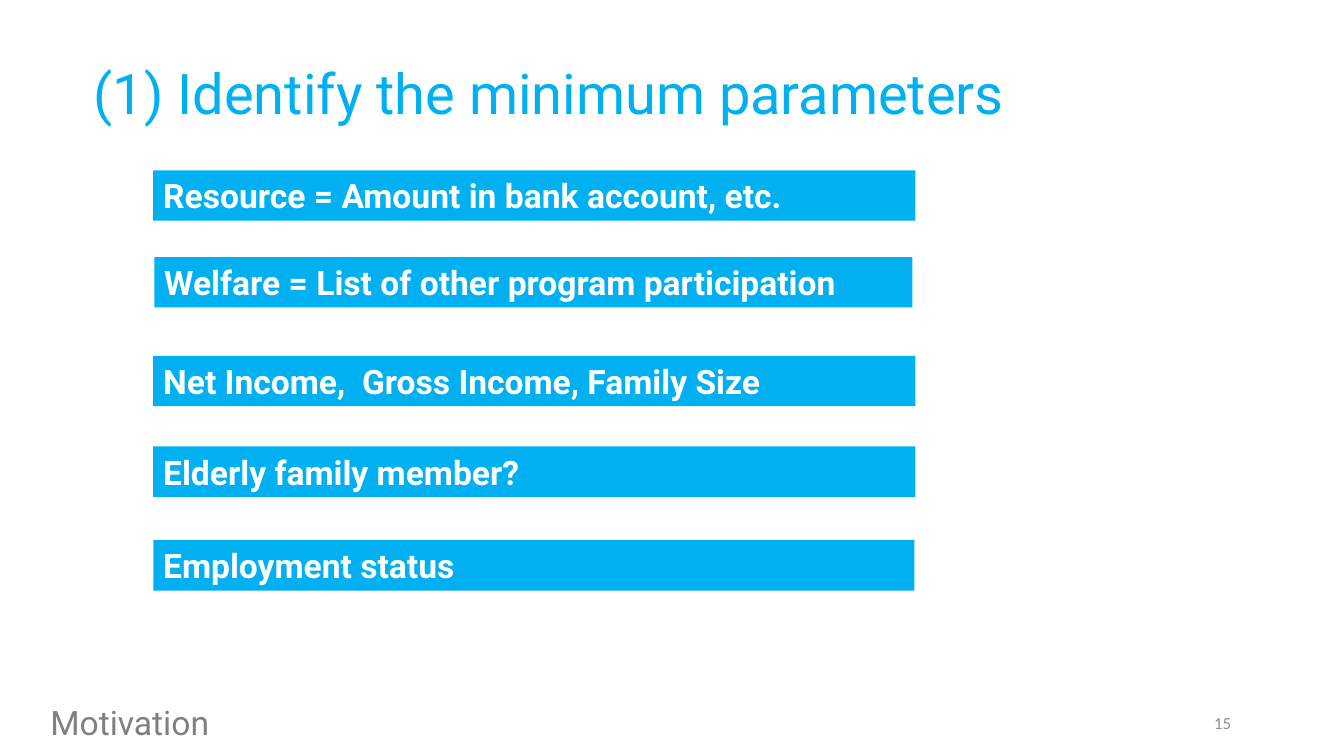
from pptx import Presentation
from pptx.dml.color import RGBColor
from pptx.enum.shapes import MSO_SHAPE as SHAPE
from pptx.enum.text import MSO_ANCHOR as ANCHOR, PP_ALIGN as ALIGN
from pptx.util import Inches, Pt

COLORS = {"blue": "00B0F0", "white": "FFFFFF", "gray": "808080", "pale": "8C8C8C"}

# Text, left, top, width
BARS = [
    ("Resource = Amount in bank account, etc.", 1.52, 1.69, 7.56),
    ("Welfare = List of other program participation", 1.53, 2.55, 7.52),
    ("Net Income,  Gross Income, Family Size", 1.52, 3.53, 7.56),
    ("Elderly family member?", 1.52, 4.43, 7.56),
    ("Employment status", 1.52, 5.36, 7.55),
]


def color(name):
    return RGBColor.from_string(COLORS[name])


def write(shape, text, size, tint, font="Roboto", bold=False,
          align=ALIGN.LEFT, anchor=ANCHOR.TOP):
    frame = shape.text_frame
    frame.word_wrap = True
    frame.vertical_anchor = anchor
    para = frame.paragraphs[0]
    para.alignment = align
    run = para.add_run()
    run.text = text
    run.font.name = font
    run.font.size = Pt(size)
    run.font.bold = bold
    run.font.color.rgb = color(tint)


def add_label(slide, text, left, top, width, height, size, tint, **style):
    box = slide.shapes.add_textbox(
        Inches(left), Inches(top), Inches(width), Inches(height))
    write(box, text, size, tint, **style)


def add_bar(slide, text, left, top, width):
    bar = slide.shapes.add_shape(
        SHAPE.RECTANGLE, Inches(left), Inches(top), Inches(width), Inches(0.5))
    bar.shadow.inherit = False
    bar.fill.solid()
    bar.fill.fore_color.rgb = color("blue")
    bar.line.fill.background()
    write(bar, text, 24, "white", bold=True)


def main():
    deck = Presentation()
    deck.slide_width = Inches(13.33)
    deck.slide_height = Inches(7.5)
    slide = deck.slides.add_slide(deck.slide_layouts[6])

    add_label(slide, "(1) Identify the minimum parameters",
              0.83, 0.53, 10.76, 0.77, 40, "blue")
    for bar in BARS:
        add_bar(slide, *bar)
    add_label(slide, "Motivation", 0.4, 6.91, 9.79, 0.5, 24, "gray")
    add_label(slide, "15", 9.31, 6.97, 3, 0.4, 12, "pale",
              font="Calibri", align=ALIGN.RIGHT, anchor=ANCHOR.MIDDLE)

    deck.save("out.pptx")


if __name__ == "__main__":
    main()
